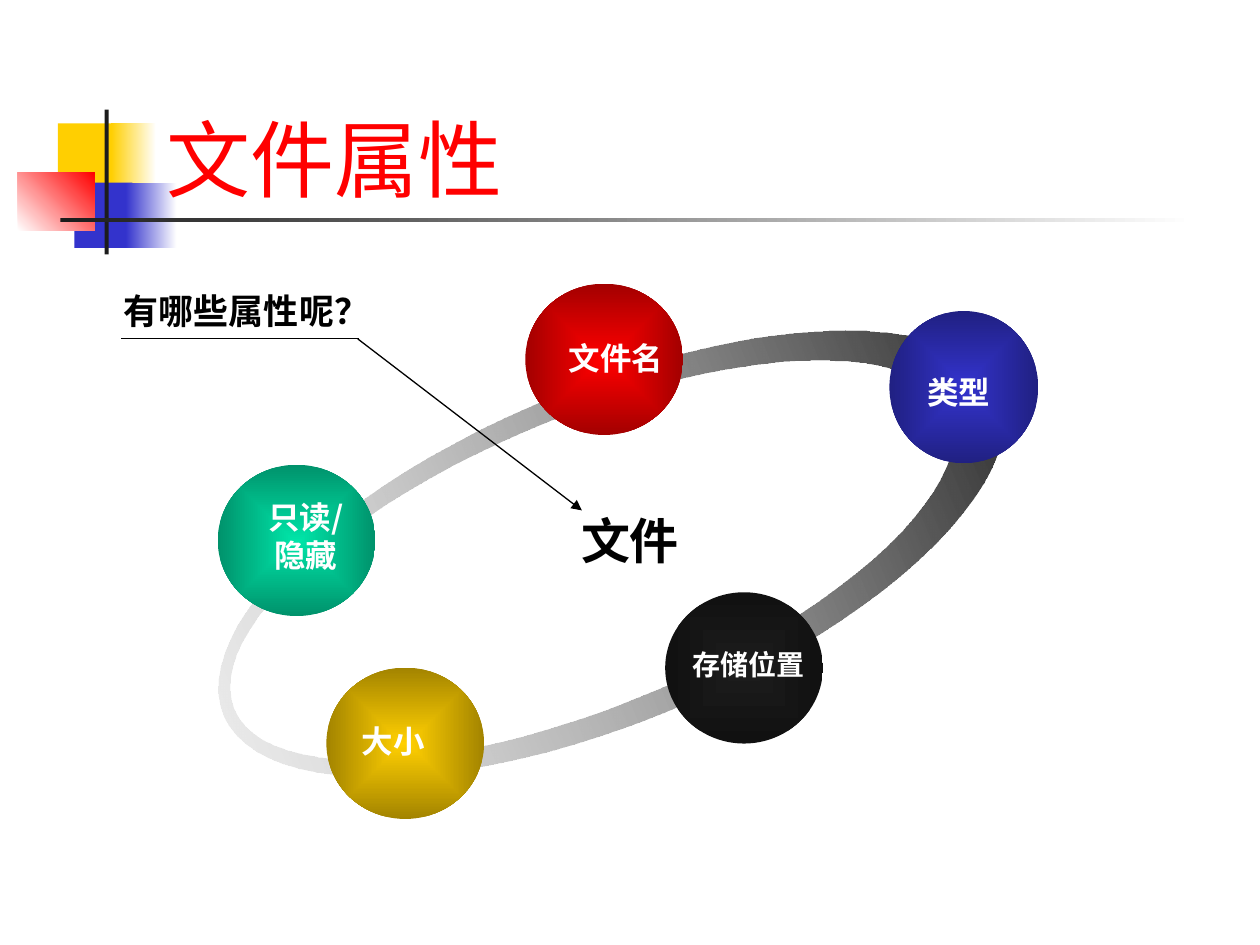
from math import cos, pi, sin

from lxml.etree import SubElement
from pptx import Presentation
from pptx.dml.color import RGBColor
from pptx.enum.shapes import MSO_CONNECTOR, MSO_SHAPE
from pptx.enum.text import MSO_ANCHOR, PP_ALIGN
from pptx.oxml.ns import qn
from pptx.util import Cm, Pt

CJK_FONT = "Noto Sans CJK SC"


def paint(shape, stops, angle=None):
    """Fill with one hex colour, or with stops (hex, modifier, percent); no angle means from the centre."""
    shape.shadow.inherit = False
    shape.line.fill.background()
    if isinstance(stops, str):
        shape.fill.solid()
        shape.fill.fore_color.rgb = RGBColor.from_string(stops)
        return
    shape.fill.gradient()
    gradient = shape._element.spPr.find(qn("a:gradFill"))
    for child in list(gradient):
        gradient.remove(child)
    gradient.set("rotWithShape", "1")
    stop_list = SubElement(gradient, qn("a:gsLst"))
    for position, (color, *modifier) in zip((0, 100000), stops):
        stop = SubElement(stop_list, qn("a:gs"), pos=str(position))
        color_element = SubElement(stop, qn("a:srgbClr"), val=color)
        if modifier:
            SubElement(color_element, qn("a:" + modifier[0]), val=str(modifier[1] * 1000))
    if angle is None:
        path = SubElement(gradient, qn("a:path"), path="shape")
        SubElement(path, qn("a:fillToRect"), l="50000", t="50000", r="50000", b="50000")
    else:
        SubElement(gradient, qn("a:lin"), ang=str(angle * 60000), scaled="0")


def write(text_frame, text, color, alignment, **font_format):
    text_frame.text = text
    for paragraph in text_frame.paragraphs:
        paragraph.alignment = alignment
        for run in paragraph.runs:
            run.font.color.rgb = RGBColor.from_string(color)
            for name, value in font_format.items():
                setattr(run.font, name, value)
            SubElement(run.font._element, qn("a:ea"), typeface=CJK_FONT)


presentation = Presentation()
presentation.slide_width, presentation.slide_height = Cm(25.4), Cm(19.05)
slide = presentation.slides.add_slide(presentation.slide_layouts[5])
shapes = slide.shapes

# Corner decoration and rule under the title
decorations = [
    (1.17, 2.49, 1.22, 1.32, "FFCF01", None),
    (2.24, 2.49, 0.91, 1.32, [("FFCF01",), ("FFFFFF",)], 0),
    (1.5, 3.68, 1.17, 1.32, "3333CC", None),
    (2.54, 3.68, 1.02, 1.32, [("3333CC",), ("FFFFFF",)], 0),
    (0.36, 3.48, 1.55, 1.17, [("FFFFFF",), ("FF0000",)], 315),
    (2.11, 2.21, 0.08, 2.92, "1C1C1C", None),
    (1.22, 4.39, 22.86, 0.08, [("1C1C1C",), ("FFFFFF",)], 0),
]
for *box, stops, angle in decorations:
    paint(shapes.add_shape(MSO_SHAPE.RECTANGLE, *map(Cm, box)), stops, angle)

title = shapes.title
title._element.getparent().append(title._element)
title.left, title.top, title.width, title.height = Cm(3.1), Cm(1.73), Cm(21.74), Cm(2.59)
title.text_frame.vertical_anchor = MSO_ANCHOR.BOTTOM
write(title.text_frame, "文件属性", "FF0000", PP_ALIGN.LEFT, size=Pt(48), name=CJK_FONT)

# Tilted ring: an outer ellipse with an off-centre inner one cut out
contours = []
for center_x, center_y, radius_x, radius_y in [(12.32, 11.16, 8.46, 3.37), (11.91, 11.13, 7.8, 2.91)]:
    angles = [2 * pi * step / 90 for step in range(90)]
    contours.append([(Cm(center_x + radius_x * cos(a)), Cm(center_y + radius_y * sin(a))) for a in angles])
outer, inner = contours
builder = shapes.build_freeform(*outer[0])
builder.add_line_segments(outer[1:], close=True)
builder.move_to(*inner[0])
builder.add_line_segments(inner[1:], close=True)
ring = builder.convert_to_shape()
ring.rotation = 337.4
paint(ring, [("DADADA", "alpha", 36), ("1C1C1C",)], 0)

# Balls on the ring
balls = [
    (10.59, 5.72, 3.18, 3.05, "FF0000"),
    (4.39, 9.37, 3.18, 3.05, "00E4A8"),
    (6.58, 13.46, 3.18, 3.05, "FFCF01"),
    (13.41, 11.94, 3.18, 3.05, "1C1C1C"),
    (17.93, 6.27, 3.0, 3.07, "3333CC"),
]
for *box, color in balls:
    paint(shapes.add_shape(MSO_SHAPE.OVAL, *map(Cm, box)), [(color,), (color, "shade", 36)])

# Question underline and the arrow to the centre
for *ends, has_arrow in [(7.24, 6.83, 2.44, 6.83, False), (7.21, 6.83, 11.73, 10.29, True)]:
    connector = shapes.add_connector(MSO_CONNECTOR.STRAIGHT, *map(Cm, ends))
    connector.line.color.rgb = RGBColor.from_string("000000")
    connector.line.width = Pt(0.75)
    if has_arrow:
        SubElement(connector.line._get_or_add_ln(), qn("a:tailEnd"), type="triangle")
    SubElement(connector._element.spPr, qn("a:effectLst"))

labels = [
    (5.11, 9.91, 2.11, 1.78, "只读/\n隐藏", 18, CJK_FONT, "FFFFFF", True),
    (11.2, 6.71, 2.44, 1.02, "文件名", 18, "DejaVu Sans", "FFFFFF", False),
    (18.44, 7.39, 1.78, 1.02, "类型", 18, "DejaVu Sans", "FFFFFF", False),
    (13.69, 12.93, 2.79, 0.94, "存储位置", 16, "DejaVu Sans", "FFFFFF", False),
    (7.04, 14.43, 1.78, 1.02, "大小", 18, "DejaVu Sans", "FFFFFF", False),
    (9.5, 10.16, 6.4, 1.45, "文件", 28, "Arial", "000000", True),
    (2.11, 5.72, 5.72, 1.09, "有哪些属性呢？", 20, "DejaVu Sans", "000000", True),
]
for *box, text, size, font_name, color, wraps in labels:
    text_frame = shapes.add_textbox(*map(Cm, box)).text_frame
    text_frame.word_wrap = wraps
    write(text_frame, text, color, PP_ALIGN.CENTER, size=Pt(size), name=font_name, bold=True)

presentation.save("out.pptx")
